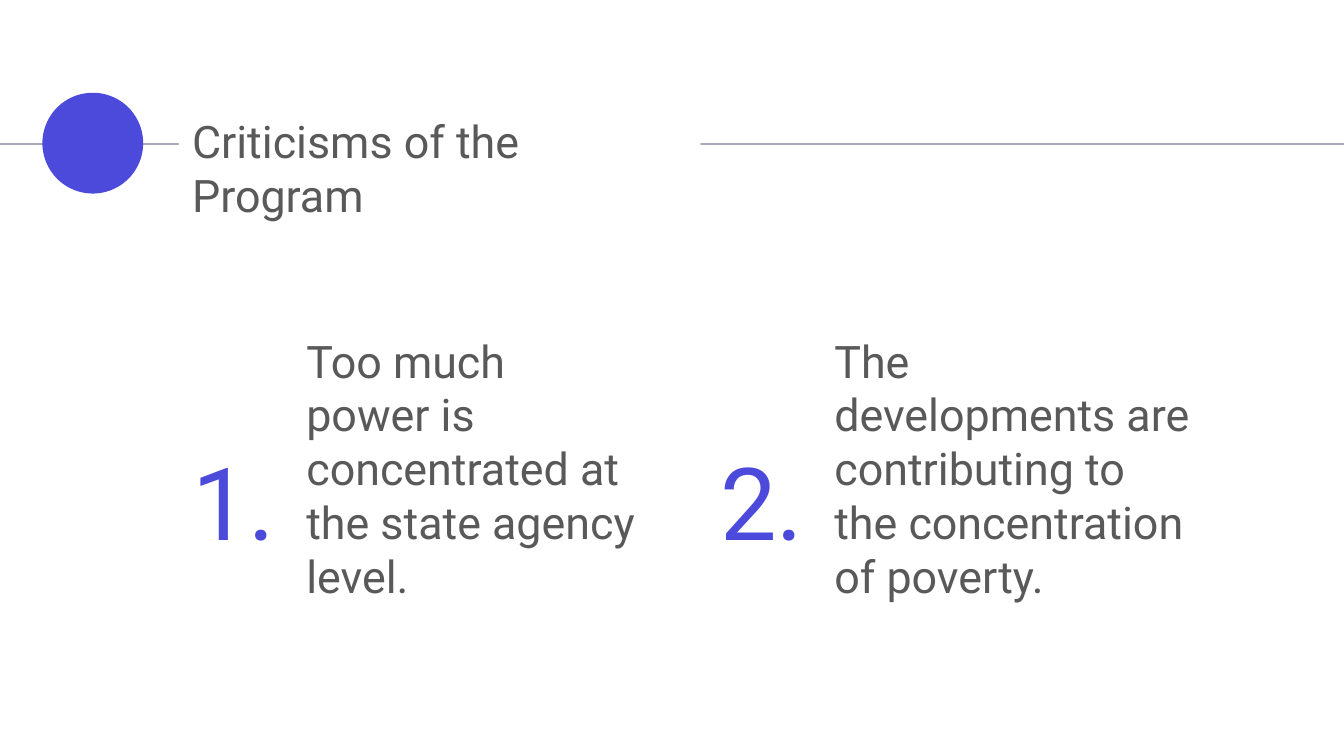
from pptx import Presentation
from pptx.dml.color import RGBColor
from pptx.enum.shapes import MSO_CONNECTOR as Link, MSO_SHAPE as Form
from pptx.oxml.ns import qn
from pptx.util import Pt
from lxml.etree import SubElement

WIDE, HIGH = 720, 405
BLUE, GREY, WHITE, RULE = "4C4ADA", "595959", "FFFFFF", "AAA7BC"
LEFT = 95.8
POINTS = [
    (LEFT, 190.8, "Too much power is concentrated at the state agency level."),
    (378.7, 208, "The developments are contributing to the concentration of poverty."),
]


def paint(color, code):
    """Set a colour format from a hex string."""
    color.rgb = RGBColor.from_string(code)


def add_rule(slide, y):
    """Draw a thin line across the whole slide."""
    line = slide.shapes.add_connector(Link.STRAIGHT, 0, Pt(y), Pt(WIDE), Pt(y))
    line.line.width = Pt(1.5)
    paint(line.line.color, RULE)
    SubElement(line._element.spPr, qn("a:effectLst"))


def add_form(slide, form, x, y, w, h, code):
    """Add a plain filled shape without outline."""
    shape = slide.shapes.add_shape(form, Pt(x), Pt(y), Pt(w), Pt(h))
    shape.shadow.inherit = False
    shape.fill.solid()
    paint(shape.fill.fore_color, code)
    shape.line.fill.background()


def add_text(slide, text, x, y, w, h, size, code):
    """Add a wrapping text box in one style."""
    frame = slide.shapes.add_textbox(Pt(x), Pt(y), Pt(w), Pt(h)).text_frame
    frame.word_wrap = True
    frame.text = text
    font = frame.paragraphs[0].runs[0].font
    font.name, font.size = "Roboto", Pt(size)
    paint(font.color, code)


def add_point(slide, num, x, w, text):
    """Add a large number with its statement to the right."""
    span = 61.2
    add_text(slide, f"{num}.", x, 231.8, span, 72.7, 54, BLUE)
    add_text(slide, text, x + span, 175, w, 124, 24, GREY)


def main():
    """Build and save the slide."""
    deck = Presentation()
    deck.slide_width, deck.slide_height = Pt(WIDE), Pt(HIGH)
    slide = deck.slides.add_slide(deck.slide_layouts[6])
    fill = slide.background.fill
    fill.solid()
    paint(fill.fore_color, WHITE)

    add_rule(slide, 77.2)
    add_form(slide, Form.OVAL, 22.7, 49.7, 54, 54, BLUE)
    add_form(slide, Form.RECTANGLE, LEFT, 49.7, 279.4, 54, WHITE)
    add_text(slide, "Criticisms of the Program", LEFT, 57.6, 279.4, 36, 24, GREY)
    for num, (x, w, text) in enumerate(POINTS, 1):
        add_point(slide, num, x, w, text)
    deck.save("out.pptx")


main()
